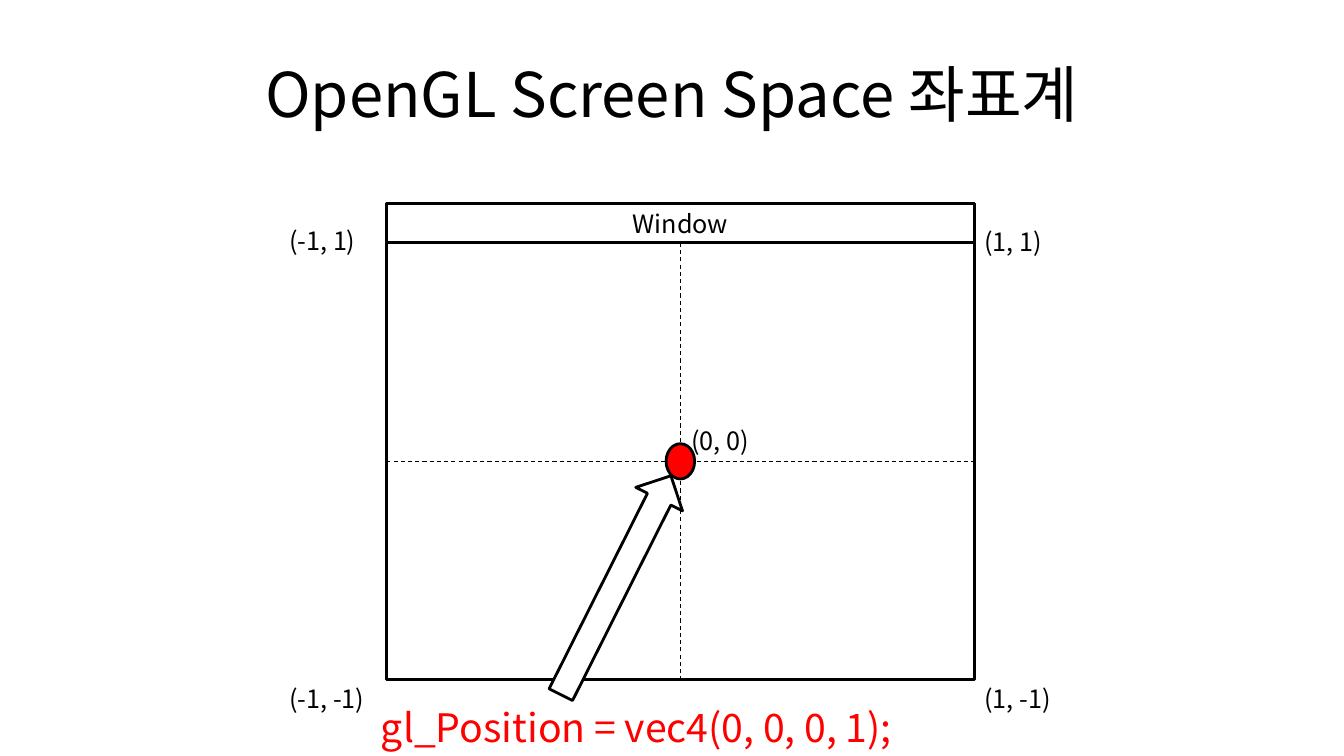
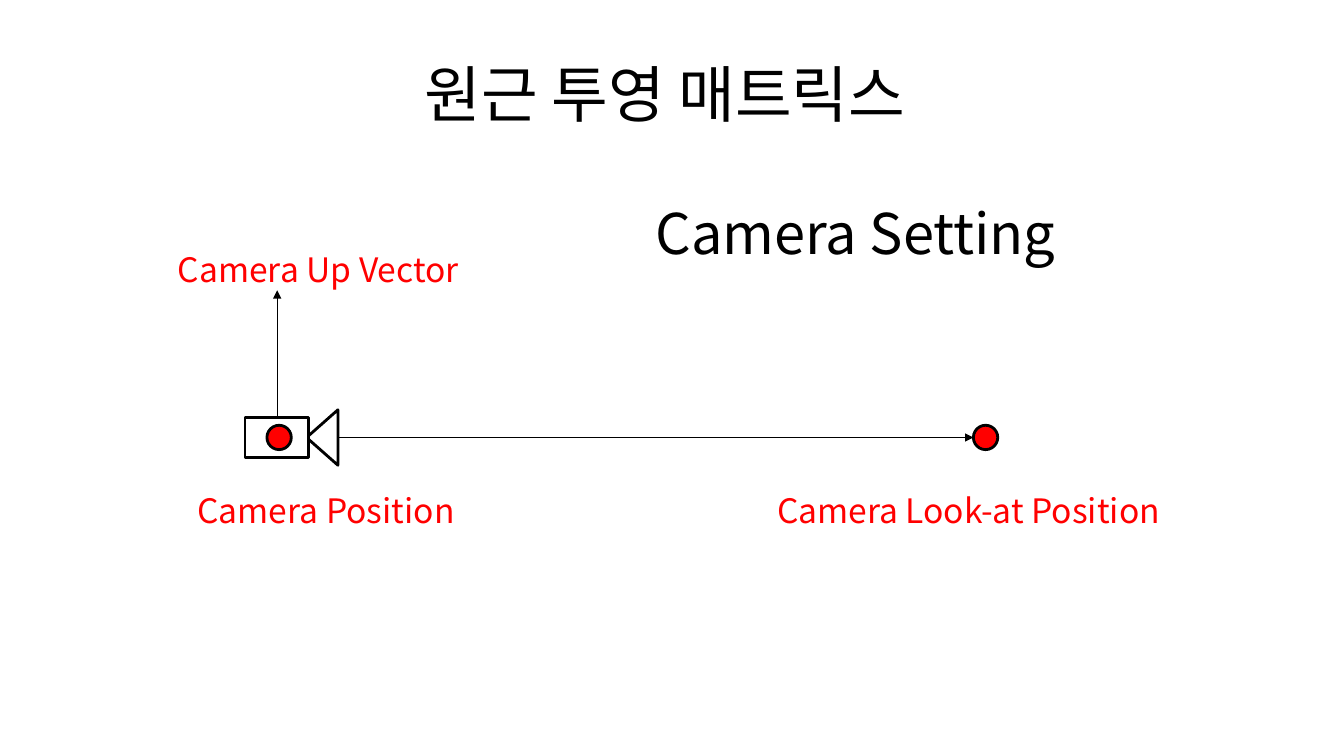
import lxml.etree
import pptx
import pptx.dml.color
import pptx.enum.dml
import pptx.enum.shapes
import pptx.enum.text
import pptx.oxml
import pptx.oxml.ns
import pptx.util

Pt = pptx.util.Pt
SHAPE = pptx.enum.shapes.MSO_SHAPE
ALIGN = pptx.enum.text.PP_ALIGN
ANCHOR = pptx.enum.text.MSO_ANCHOR
FIT = pptx.enum.text.MSO_AUTO_SIZE
COLORS = {"ink": "000000", "paper": "FFFFFF", "accent": "FF0000"}


def rgb(name):
    """Return the named colour of the palette."""
    return pptx.dml.color.RGBColor.from_string(COLORS[name])


def add_child(parent, tag, **attributes):
    """Append a DrawingML element to parent."""
    child = lxml.etree.SubElement(parent, pptx.oxml.ns.qn(tag))
    for key, value in attributes.items():
        child.set(key, value)


class Deck:
    """Shared style and the slide being drawn; all lengths in points."""

    font = "Noto Sans CJK KR"
    outline = 2
    hairline = 0.75

    def __init__(self):
        """Start an empty widescreen presentation."""
        self.show = pptx.Presentation()
        self.show.slide_width = Pt(960)
        self.show.slide_height = Pt(540)
        self.slide = None

    def new_slide(self, title):
        """Add a blank slide with a centred title."""
        self.slide = self.show.slides.add_slide(self.show.slide_layouts[6])
        self.label(title, 48, 21.6, 864, 90, 44, align=ALIGN.CENTER,
                   anchor=ANCHOR.MIDDLE, fit=FIT.NONE)

    def set_text(self, frame, text, size, color, align):
        """Put one styled paragraph into a text frame."""
        paragraph = frame.paragraphs[0]
        paragraph.text = text
        paragraph.alignment = align
        font = paragraph.font
        font.size = Pt(size)
        font.color.rgb = rgb(color)
        font.name = self.font
        defaults = paragraph._p.pPr.find(pptx.oxml.ns.qn("a:defRPr"))
        add_child(defaults, "a:ea", typeface=self.font)

    def label(self, text, left, top, width, height, size, color="ink",
              align=ALIGN.LEFT, anchor=ANCHOR.TOP, wrap=True,
              fit=FIT.SHAPE_TO_FIT_TEXT):
        """Add a text box."""
        box = self.slide.shapes.add_textbox(
            Pt(left), Pt(top), Pt(width), Pt(height))
        frame = box.text_frame
        frame.word_wrap = wrap
        frame.auto_size = fit
        frame.vertical_anchor = anchor
        self.set_text(frame, text, size, color, align)

    def shape(self, kind, left, top, width, height, fill="paper",
              rotation=0, text=None):
        """Add an outlined preset shape, with centred text if given."""
        shape = self.slide.shapes.add_shape(
            kind, Pt(left), Pt(top), Pt(width), Pt(height))
        shape.rotation = rotation
        shape.shadow.inherit = False
        shape.fill.solid()
        shape.fill.fore_color.rgb = rgb(fill)
        shape.line.color.rgb = rgb("ink")
        shape.line.width = Pt(self.outline)
        if text:
            shape.text_frame.vertical_anchor = ANCHOR.MIDDLE
            self.set_text(shape.text_frame, text, 18, "ink", ALIGN.CENTER)

    def dot(self, x, y, width, height):
        """Add a red point centred on x, y."""
        self.shape(SHAPE.OVAL, x - width / 2, y - height / 2,
                   width, height, "accent")

    def line(self, x1, y1, x2, y2, dashed=False, arrow=False):
        """Add a thin straight line."""
        line = self.slide.shapes.add_connector(
            pptx.enum.shapes.MSO_CONNECTOR.STRAIGHT,
            Pt(x1), Pt(y1), Pt(x2), Pt(y2))
        line.line.color.rgb = rgb("ink")
        line.line.width = Pt(self.hairline)
        if dashed:
            line.line.dash_style = pptx.enum.dml.MSO_LINE.DASH
        properties = line._element.spPr
        if arrow:
            add_child(properties.find(pptx.oxml.ns.qn("a:ln")),
                      "a:tailEnd", type="triangle")
        add_child(properties, "a:effectLst")


def screen_space(deck):
    """Draw the window with its normalised coordinates."""
    deck.new_slide("OpenGL Screen Space 좌표계")
    left, top, width, height, bar = 276, 173.5, 420, 312, 28
    right, bottom = left + width, top + height
    center_x, center_y = left + width / 2, top + height / 2
    deck.shape(SHAPE.RECTANGLE, left, top, width, height)
    deck.shape(SHAPE.RECTANGLE, left, top - bar, width, bar, text="Window")
    coordinates = [
        ("(-1, -1)", 199.5, 484.6),
        ("(1, 1)", right, 158.4),
        ("(-1, 1)", 199.5, 157.4),
        ("(1, -1)", right, 484.6),
        ("(0, 0)", 486.7, 300.5),
    ]
    deck.line(left, center_y, right, center_y, dashed=True)
    deck.line(center_x, top, center_x, bottom, dashed=True)
    for text, x, y in coordinates:
        deck.label(text, x, y, 90.7, 29, 18)
    deck.label("gl_Position = vec4(0, 0, 0, 1);", 265, 499, 453, 41, 28,
               "accent", wrap=False)
    deck.dot(center_x, center_y, 20.4, 25.2)
    deck.shape(SHAPE.DOWN_ARROW, 421.2, 330.5, 37.4, 175, rotation=206.7)


def camera_setting(deck):
    """Draw the camera, its up vector and its look-at point."""
    deck.new_slide("원근 투영 매트릭스 ")
    axis, camera, target, dot = 312.5, 199.4, 704, 17.4
    deck.shape(SHAPE.ISOSCELES_TRIANGLE, 210.4, axis - 11.2, 39.6, 22.4,
               rotation=270)
    deck.shape(SHAPE.RECTANGLE, 175, axis - 14.2, 45.4, 28.4)
    for x in (camera, target):
        deck.dot(x, axis, dot, dot)
    deck.line(241.4, axis, target - dot / 2, axis, arrow=True)
    deck.line(198, axis - 14.2, 198, 207.4, arrow=True)
    captions = [
        ("Camera Position", 134, 346.4),
        ("Camera Look-at Position", 548, 346.4),
        ("Camera Up Vector", 120, 174),
    ]
    for text, x, y in captions:
        deck.label(text, x, y, 296, 36, 24, "accent")
    deck.label("Camera Setting", 406, 138.2, 410.4, 55.7, 40,
               align=ALIGN.CENTER)


deck = Deck()
screen_space(deck)
camera_setting(deck)
deck.show.save("out.pptx")
